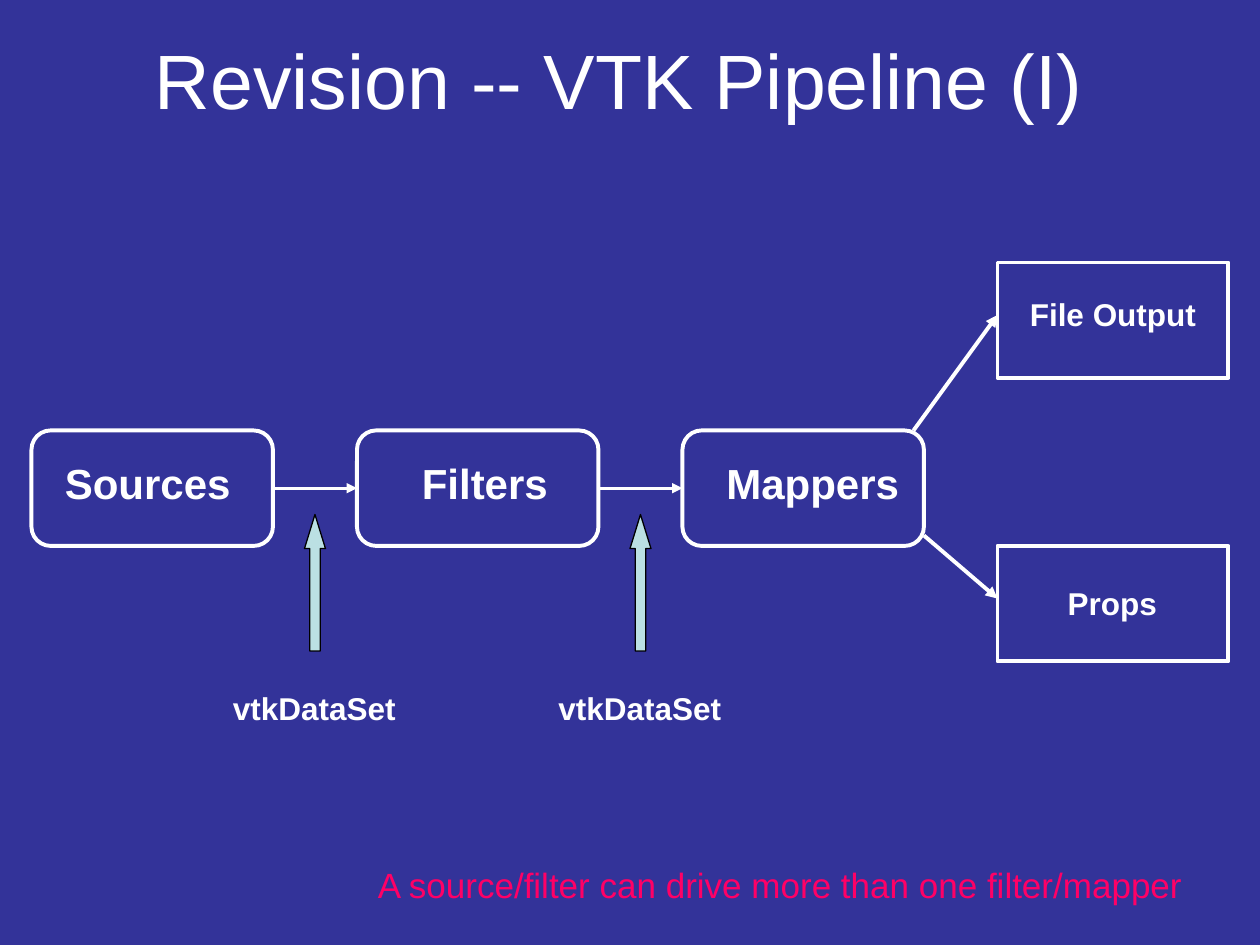
from dataclasses import dataclass

from lxml import etree
from pptx import Presentation
from pptx.dml.color import RGBColor
from pptx.enum.shapes import MSO_CONNECTOR, MSO_SHAPE
from pptx.enum.text import MSO_ANCHOR, MSO_AUTO_SIZE, PP_ALIGN
from pptx.oxml.ns import qn
from pptx.slide import Slide
from pptx.util import Inches, Pt

ROUNDED, RECTANGLE, UP_ARROW = (
    MSO_SHAPE.ROUNDED_RECTANGLE, MSO_SHAPE.RECTANGLE, MSO_SHAPE.UP_ARROW)
STRAIGHT = MSO_CONNECTOR.STRAIGHT
LEFT, CENTER = PP_ALIGN.LEFT, PP_ALIGN.CENTER
MIDDLE, TOP = MSO_ANCHOR.MIDDLE, MSO_ANCHOR.TOP
FIT_SHAPE, NO_FIT = MSO_AUTO_SIZE.SHAPE_TO_FIT_TEXT, MSO_AUTO_SIZE.NONE

COLORS = {"background": "333399", "white": "FFFFFF", "arrow": "BBE0E3",
          "black": "000000", "note": "FF0066"}

# Grid of 120 columns by 90 rows on a 10 x 7.5 inch slide
COLUMNS, ROWS = 120, 90
SLIDE_WIDTH, SLIDE_HEIGHT = Inches(10), Inches(7.5)
STAGE_LEFT, STAGE_TOP, STAGE_PITCH = 3, 41, 31
STAGE_WIDTH, BOX_HEIGHT = 23, 11
OUTPUT_LEFT, OUTPUT_WIDTH = 95, 22


@dataclass
class Area:
    column: float
    row: float
    width: float
    height: float

    def lengths(self) -> tuple[int, int, int, int]:
        return (across(self.column), down(self.row),
                across(self.width), down(self.height))


@dataclass
class Label:
    text: str
    area: Area
    size: int
    bold: bool = True
    color: str = "white"


@dataclass
class Arrow:
    start: tuple[float, float]
    end: tuple[float, float]
    weight: float


def across(columns: float) -> int:
    return round(SLIDE_WIDTH * columns / COLUMNS)


def down(rows: float) -> int:
    return round(SLIDE_HEIGHT * rows / ROWS)


def rgb(name: str) -> RGBColor:
    return RGBColor.from_string(COLORS[name])


def apply_format(target: object, values: dict) -> None:
    for name, value in values.items():
        setattr(target, name, value)


def add_box(slide: Slide, kind: MSO_SHAPE, area: Area, line: str = "white",
            weight: float = 2.25, fill: str = "",
            adjustments: tuple[float, ...] = ()) -> None:
    shape = slide.shapes.add_shape(kind, *area.lengths())
    shape.shadow.inherit = False
    for index, value in enumerate(adjustments):
        shape.adjustments[index] = value
    if fill:
        shape.fill.solid()
        shape.fill.fore_color.rgb = rgb(fill)
    else:
        shape.fill.background()
    shape.line.color.rgb = rgb(line)
    shape.line.width = Pt(weight)


def add_label(slide: Slide, label: Label, title: bool = False) -> None:
    frame = slide.shapes.add_textbox(*label.area.lengths()).text_frame
    apply_format(frame, {"word_wrap": title,
                         "auto_size": NO_FIT if title else FIT_SHAPE,
                         "vertical_anchor": MIDDLE if title else TOP})
    paragraph = frame.paragraphs[0]
    paragraph.alignment = CENTER if title else LEFT
    run = paragraph.add_run()
    run.text = label.text
    apply_format(run.font, {"name": "Arial", "size": Pt(label.size), "bold": label.bold})
    run.font.color.rgb = rgb(label.color)


def add_arrow(slide: Slide, arrow: Arrow) -> None:
    (start_column, start_row), (end_column, end_row) = arrow.start, arrow.end
    connector = slide.shapes.add_connector(
        STRAIGHT, across(start_column), down(start_row), across(end_column), down(end_row))
    connector.line.color.rgb = rgb("white")
    connector.line.width = Pt(arrow.weight)
    etree.SubElement(connector.line._get_or_add_ln(), qn("a:tailEnd"), type="triangle")
    etree.SubElement(connector._element.spPr, qn("a:effectLst"))


def main() -> None:
    presentation = Presentation()
    apply_format(presentation, {"slide_width": SLIDE_WIDTH, "slide_height": SLIDE_HEIGHT})
    slide = presentation.slides.add_slide(presentation.slide_layouts[6])
    slide.background.fill.solid()
    slide.background.fill.fore_color.rgb = rgb("background")

    # Title
    add_label(slide, Label("Revision -- VTK Pipeline (I)", Area(5, 0, 108, 15), 44, False),
              title=True)

    # Pipeline stages
    stages = [Label("Sources", Area(5, 43, 18.5, 6), 24),
              Label("Filters", Area(39, 43, 14.7, 6), 24),
              Label("Mappers", Area(68, 43, 19.2, 6), 24)]
    for index, label in enumerate(stages):
        left = STAGE_LEFT + index * STAGE_PITCH
        add_box(slide, ROUNDED, Area(left, STAGE_TOP, STAGE_WIDTH, BOX_HEIGHT),
                adjustments=(0.167,))
        add_label(slide, label)

    # Links between stages, each with the data set that flows through it
    middle = STAGE_TOP + BOX_HEIGHT / 2
    for index in range(len(stages) - 1):
        shift = index * STAGE_PITCH
        link_start = STAGE_LEFT + STAGE_WIDTH + shift
        link_end = STAGE_LEFT + STAGE_PITCH + shift
        add_arrow(slide, Arrow((link_start, middle), (link_end, middle), 1.5))
        add_box(slide, UP_ARROW, Area(29 + shift, 49, 2, 13), "black", 0.75, "arrow",
                (0.5, 1.626))
        add_label(slide, Label("vtkDataSet", Area(21 + shift, 65, 18.2, 4.8), 18))

    # Outputs
    outputs = [(25, Label("File Output", Area(96.9, 27.5, 18.5, 4.8), 18)),
               (52, Label("Props", Area(100.5, 55, 11.2, 4.8), 18))]
    for top, label in outputs:
        add_box(slide, RECTANGLE, Area(OUTPUT_LEFT, top, OUTPUT_WIDTH, BOX_HEIGHT))
        add_label(slide, label)
    add_arrow(slide, Arrow((87, STAGE_TOP), (OUTPUT_LEFT, 30), 2.25))
    add_arrow(slide, Arrow((88, 51), (OUTPUT_LEFT, 57), 2.25))

    # Closing note
    add_label(slide, Label("A source/filter can drive more than one filter/mapper",
                           Area(34.8, 81.65, 79.5, 5.3), 20, False, "note"))

    presentation.save("out.pptx")


if __name__ == "__main__":
    main()
